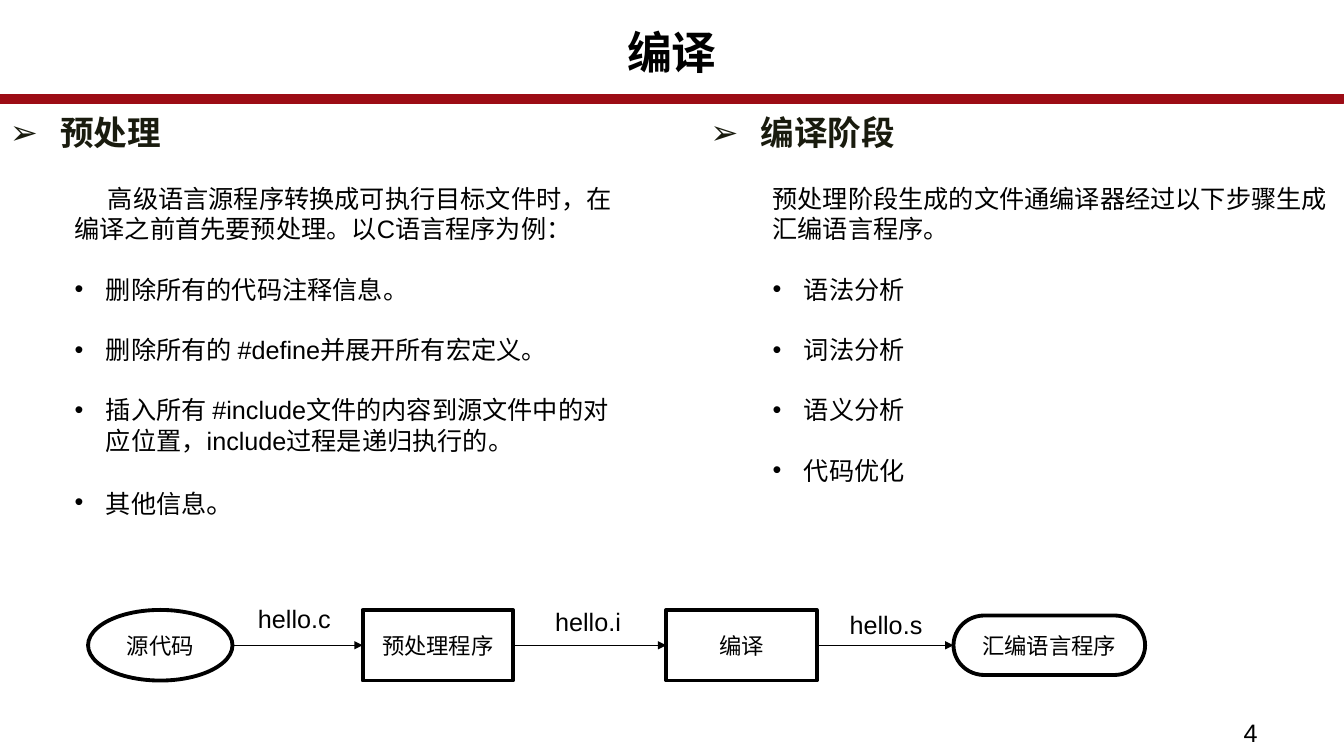
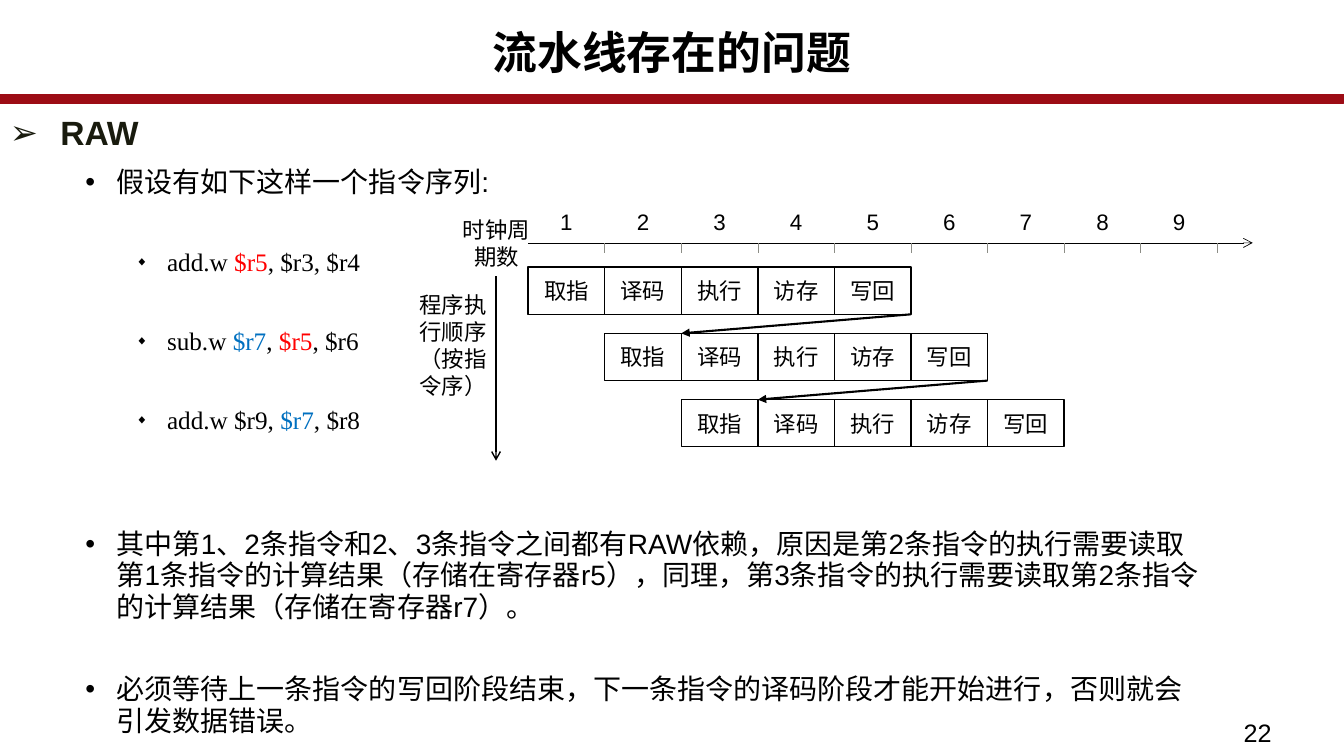
from dataclasses import dataclass, replace

from pptx import Presentation
from pptx.dml.color import RGBColor
from pptx.enum import shapes, text
from pptx.oxml.ns import qn
from pptx.util import Cm, Pt
from lxml import etree


class Theme:
    black, white = "000000", "FFFFFF"
    band, heading, tick = "9C0C15", "191B0E", "8C8D86"
    red, blue = "FF0000", "0070C0"
    sans, serif = "Arial", "Times New Roman"
    title_size, heading_size, point_size, body_size, label_size = 32, 24, 20, 18, 16
    outline, cell_line, thin_line, hazard_line = 2.75, 1, 0.5, 1.5


@dataclass(frozen=True)
class Style:
    size: float = Theme.body_size
    font: str = Theme.sans
    color: str = Theme.black
    bold: bool = False
    align: object = text.PP_ALIGN.LEFT
    left: float = 0
    first: float = 0
    bullet: str = ""
    bullet_pct: int = 100
    line: float = 1
    before: float = 0
    after: float = 0


BODY = Style()
LABEL = Style(size=Theme.label_size, align=text.PP_ALIGN.CENTER)
TITLE = Style(size=Theme.title_size, bold=True, align=text.PP_ALIGN.CENTER, line=0.89)
HEADING = Style(size=Theme.heading_size, color=Theme.heading, bold=True,
                left=1.27, first=-1.27, bullet="➢", line=0.94)
INTRO = replace(BODY, first=0.84)
STEP = replace(BODY, left=0.79, first=-0.79, bullet="•", before=21.5)
POINT = Style(size=Theme.point_size, left=2.26, first=-0.79, bullet="•", line=0.94, after=2)
CODE = Style(font=Theme.serif, left=3.53, first=-0.79, bullet="◆", bullet_pct=50,
             line=0.94, before=34, after=2)

SLIDE_W, SLIDE_H = 33.87, 19.05

# Each paragraph is a string, or a list of (text, overrides) spans.
COMPILE = {
    "title": "编译",
    "number": "4",
    "columns": [
        # heading, heading left, body left, body width, paragraphs
        ("预处理", 0, 1.63, 14.58, [
            ("高级语言源程序转换成可执行目标文件时，在编译之前首先要预处理。以C语言程序为例：", INTRO),
            ("删除所有的代码注释信息。", STEP),
            ("删除所有的 #define并展开所有宏定义。", STEP),
            ("插入所有 #include文件的内容到源文件中的对应位置，include过程是递归执行的。", STEP),
            ([("其他信息", {}), ("。", {"size": Theme.point_size})], STEP),
        ]),
        ("编译阶段", 17.65, 19.22, 14.65, [
            ("预处理阶段生成的文件通编译器经过以下步骤生成汇编语言程序。", BODY),
            *((step, STEP) for step in ("语法分析", "词法分析", "语义分析", "代码优化")),
        ]),
    ],
    "flow": [
        # text, shape, left, width, height
        ("源代码", shapes.MSO_SHAPE.FLOWCHART_CONNECTOR, 2.22, 3.64, 1.78),
        ("预处理程序", shapes.MSO_SHAPE.FLOWCHART_PROCESS, 9.14, 3.79, 1.78),
        ("编译", shapes.MSO_SHAPE.FLOWCHART_PROCESS, 16.79, 3.79, 1.78),
        ("汇编语言程序", shapes.MSO_SHAPE.FLOWCHART_TERMINATOR, 24.03, 4.83, 1.5),
    ],
    "files": [("hello.c", 6.25, 15.09), ("hello.i", 13.74, 15.16), ("hello.s", 21.16, 15.24)],
}

RED, BLUE = {"color": Theme.red}, {"color": Theme.blue}
HAZARD = {
    "title": "流水线存在的问题",
    "number": "22",
    "heading": "RAW",
    "paragraphs": [
        ("假设有如下这样一个指令序列:", POINT),
        ([("add.w ", {}), ("$r5", RED), (", $r3, $r4", {})], CODE),
        ([("sub.w ", {}), ("$r7", BLUE), (", ", {}), ("$r5", RED), (", $r6", {})], CODE),
        ([("add.w $r9, ", {}), ("$r7", BLUE), (", $r8", {})], CODE),
        ("其中第1、2条指令和2、3条指令之间都有RAW依赖，原因是第2条指令的执行需要读取第1条指令的"
         "计算结果（存储在寄存器r5），同理，第3条指令的执行需要读取第2条指令的计算结果"
         "（存储在寄存器r7）。", replace(POINT, before=65)),
        ("必须等待上一条指令的写回阶段结束，下一条指令的译码阶段才能开始进行，否则就会引发数据错误。",
         replace(POINT, before=34)),
    ],
    "stages": ["取指", "译码", "执行", "访存", "写回"],
    "instructions": 3,
    "cycles": 9,
    "axis_labels": [("时钟周期数", 11.38, 5.54), ("程序执行顺序（按指令序）", 10.29, 8.1)],
}


def rgb(value):
    return RGBColor.from_string(value)


def add_bullet(para, style):
    props = para._p.get_or_add_pPr()
    props.set("marL", str(Cm(style.left)))
    props.set("indent", str(Cm(style.first)))
    if not style.bullet:
        return
    if style.bullet_pct != 100:
        etree.SubElement(props, qn("a:buSzPct"), val=str(style.bullet_pct * 1000))
    etree.SubElement(props, qn("a:buFont"), typeface=Theme.sans)
    etree.SubElement(props, qn("a:buChar"), char=style.bullet)


def write(frame, paragraphs, anchor=text.MSO_ANCHOR.TOP):
    """Fill a text frame with (content, style) paragraphs."""
    frame.word_wrap = True
    frame.vertical_anchor = anchor
    for index, (content, style) in enumerate(paragraphs):
        para = frame.add_paragraph() if index else frame.paragraphs[0]
        add_bullet(para, style)
        para.alignment = style.align
        para.line_spacing = style.line
        para.space_before = Pt(style.before if index else 0)
        para.space_after = Pt(style.after)
        para.font.name = style.font
        para.font.size = Pt(style.size)
        para.font.bold = style.bold
        para.font.color.rgb = rgb(style.color)
        for words, changes in [(content, {})] if isinstance(content, str) else content:
            span = para.add_run()
            span.text = words
            if "size" in changes:
                span.font.size = Pt(changes["size"])
            if "color" in changes:
                span.font.color.rgb = rgb(changes["color"])


def add_text(page, left, top, width, height, paragraphs, anchor=text.MSO_ANCHOR.TOP):
    box = page.shapes.add_textbox(Cm(left), Cm(top), Cm(width), Cm(height))
    write(box.text_frame, paragraphs, anchor)


def add_label(page, label, left, top, width, height):
    add_text(page, left, top, width, height, [(label, LABEL)], text.MSO_ANCHOR.MIDDLE)


def add_node(page, kind, left, top, width, height, line_width,
             label=None, fill=None, line_color=Theme.black):
    node = page.shapes.add_shape(kind, Cm(left), Cm(top), Cm(width), Cm(height))
    node.shadow.inherit = False
    if fill:
        node.fill.solid()
        node.fill.fore_color.rgb = rgb(fill)
    else:
        node.fill.background()
    node.line.color.rgb = rgb(line_color)
    node.line.width = Pt(line_width)
    if label:
        write(node.text_frame, [(label, LABEL)], text.MSO_ANCHOR.MIDDLE)
    return node


def add_line(page, x1, y1, x2, y2, width, color=Theme.black, head=None):
    line = page.shapes.add_connector(shapes.MSO_CONNECTOR.STRAIGHT,
                                     Cm(x1), Cm(y1), Cm(x2), Cm(y2))
    line.line.color.rgb = rgb(color)
    line.line.width = Pt(width)
    if head:
        etree.SubElement(line.line._get_or_add_ln(), qn("a:tailEnd"), type=head)
    etree.SubElement(line._element.spPr, qn("a:effectLst"))
    return line


def add_heading(page, heading, left, width):
    add_text(page, left, 2.79, width, 1.3, [(heading, HEADING)])


def add_page(deck, content):
    """Add a blank page with the shared band, title and page number."""
    page = deck.slides.add_slide(deck.slide_layouts[6])
    add_node(page, shapes.MSO_SHAPE.ROUNDED_RECTANGLE, 0, 2.42, SLIDE_W, 0.15,
             Theme.outline, fill=Theme.band, line_color=Theme.band)
    add_text(page, 0, 0.66, SLIDE_W, 1.7, [(content["title"], TITLE)])
    add_text(page, 31.09, 17.96, 2.77, 1.09, [(content["number"], BODY)])
    return page


def add_flow(page, steps, files):
    middle = 16.26
    previous = None
    for label, kind, left, width, height in steps:
        node = add_node(page, kind, left, middle - height / 2, width, height,
                        Theme.outline, label, Theme.white)
        if previous:
            start, start_kind, start_x = previous
            arrow = add_line(page, start_x, middle, left, middle, Theme.thin_line,
                             head="triangle")
            if start_kind != shapes.MSO_SHAPE.FLOWCHART_CONNECTOR:
                arrow.begin_connect(start, 3)
            arrow.end_connect(node, 1)
        previous = node, kind, left + width
    for name, left, top in files:
        add_text(page, left, top, 2.87, 1.02, [(name, BODY)])


def add_pipeline(page, content):
    left, axis_y, top = 13.31, 6.12, 6.73
    cell_w, cell_h, row_step = 1.93, 1.19, 1.67
    stages, rows = content["stages"], content["instructions"]

    def column_x(column):
        return left + column * cell_w

    add_line(page, left, axis_y, 31.57, axis_y, Theme.thin_line, head="arrow")
    add_line(page, 12.5, 6.96, 12.5, 11.61, Theme.cell_line, head="arrow")
    for label, x, y in content["axis_labels"]:
        add_label(page, label, x, y, 2.26, cell_h)
    for cycle in range(content["cycles"]):
        add_label(page, str(cycle + 1), column_x(cycle), 5, cell_w, cell_h)
        tick_x = column_x(cycle + 1)
        add_line(page, tick_x, axis_y + 0.25, tick_x, axis_y, Theme.thin_line, Theme.tick)
    for row in range(rows):
        row_y = top + row * row_step
        for offset, stage in enumerate(stages):
            add_node(page, shapes.MSO_SHAPE.RECTANGLE, column_x(row + offset), row_y,
                     cell_w, cell_h, Theme.cell_line, stage)
        if row < rows - 1:
            add_line(page, column_x(row + len(stages)), row_y + cell_h,
                     column_x(row + 2), row_y + row_step, Theme.hazard_line, head="triangle")


def main():
    deck = Presentation()
    deck.slide_width, deck.slide_height = Cm(SLIDE_W), Cm(SLIDE_H)

    page = add_page(deck, COMPILE)
    for heading, heading_x, body_x, body_w, paragraphs in COMPILE["columns"]:
        add_heading(page, heading, heading_x, 16.2)
        add_text(page, body_x, 4.5, body_w, 9.5, paragraphs)
    add_flow(page, COMPILE["flow"], COMPILE["files"])

    page = add_page(deck, HAZARD)
    add_heading(page, HAZARD["heading"], 0, 32.64)
    add_text(page, 0.43, 4.09, 30.1, 14.7, HAZARD["paragraphs"])
    add_pipeline(page, HAZARD)

    deck.save("out.pptx")


if __name__ == "__main__":
    main()
